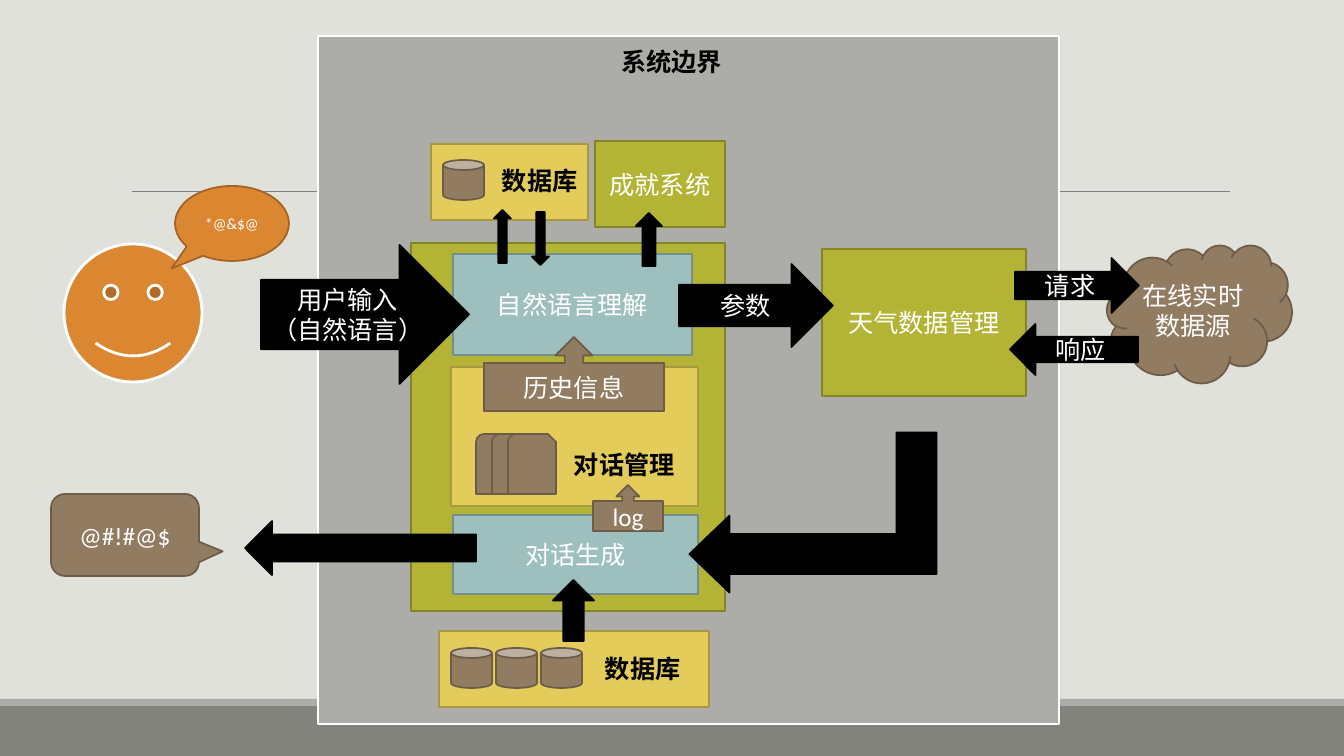
"""Build the system boundary slide of a weather dialogue system."""
import dataclasses
import typing

import pptx
import pptx.dml.color
import pptx.enum.shapes
import pptx.enum.text
import pptx.oxml.ns
import pptx.util

SCALE = 12192000 // 1344
KIND = pptx.enum.shapes.MSO_SHAPE
ALIGN = pptx.enum.text.PP_ALIGN
ANCHOR = pptx.enum.text.MSO_ANCHOR
WHITE, BLACK = "FFFFFF", "000000"


@dataclasses.dataclass(frozen=True)
class Look:
    fill: str
    line: str = ""
    width: float = 1.25


@dataclasses.dataclass(frozen=True)
class Part:
    kind: str
    box: tuple[int, int, int, int]
    look: Look
    text: str = ""
    size: int = 18
    bends: tuple[float, ...] = ()
    turn: int = 0
    flip: bool = False


@dataclasses.dataclass(frozen=True)
class Label:
    box: tuple[int, int, int, int]
    text: str


FLOOR = Look("82847C")
EDGE = Look("ACADA8")
FRAME = Look("ACADA8", WHITE, 2)
GREEN = Look("B3B435", "848527")
FACE = Look("DB8631", WHITE, 2)
SPEECH = Look("DB8631", "A26324")
BLUE = Look("9DBFBE", "748D8D")
GOLD = Look("E3CC5A", "A89743")
BROWN = Look("927C61", "6C5C48")
INK = Look(BLACK, BLACK)

BANDS = [
    Part("RECTANGLE", (0, 706, 1344, 50), FLOOR),
    Part("RECTANGLE", (0, 699, 1344, 7), EDGE),
]
PARTS = [
    Part("RECTANGLE", (318, 36, 741, 688), FRAME),
    Part("RECTANGLE", (411, 243, 314, 368), GREEN),
    Part("SMILEY_FACE", (64, 244, 138, 138), FACE),
    Part("OVAL_CALLOUT", (175, 186, 114, 75), SPEECH, "*@&$@", 11, (-0.53, 0.6)),
    Part("RECTANGLE", (453, 254, 239, 101), BLUE, "自然语言理解"),
    Part("RIGHT_ARROW", (261, 245, 208, 139), INK, "用户输入\n（自然语言）"),
    Part("RECTANGLE", (451, 367, 247, 139), GOLD),
    *[Part("SNIP_ROUND_RECTANGLE", (476 + 16 * i, 434, 48, 60), BROWN) for i in range(3)],
    Part("UP_ARROW_CALLOUT", (484, 337, 180, 74), BROWN, "历史信息"),
    Part("RECTANGLE", (822, 249, 204, 147), GREEN, "天气数据管理"),
    Part("RIGHT_ARROW", (679, 264, 154, 83), INK, "参数"),
    Part("CLOUD", (1107, 245, 185, 138), BROWN, "在线实时\n数据源"),
    Part("RIGHT_ARROW", (1015, 258, 124, 55), INK, "请求"),
    Part("LEFT_ARROW", (1010, 324, 128, 51), INK, "响应"),
    Part("RECTANGLE", (453, 515, 245, 79), BLUE, "对话生成"),
    Part("RECTANGLE", (439, 631, 270, 76), GOLD),
    *[Part("CAN", (451 + 45 * i, 648, 41, 40), BROWN) for i in range(3)],
    Part("UP_ARROW", (553, 580, 41, 61), INK),
    Part("BENT_UP_ARROW", (733, 389, 160, 247), INK, bends=(0.25, 0.24, 0.25), turn=270, flip=True),
    Part("LEFT_ARROW", (245, 521, 231, 54), INK),
    Part("ROUNDED_RECTANGULAR_CALLOUT", (51, 494, 148, 82), BROWN, "@#!#@$", bends=(0.66, 0.2, 0.17)),
    Part("RECTANGLE", (431, 144, 157, 76), GOLD),
    Part("CAN", (443, 160, 41, 40), BROWN),
    Part("RECTANGLE", (595, 141, 130, 86), GREEN, "成就系统"),
    Part("UP_ARROW", (636, 213, 26, 53), INK),
    Part("UP_ARROW", (494, 210, 17, 53), INK),
    Part("DOWN_ARROW", (532, 212, 17, 53), INK),
    Part("UP_ARROW_CALLOUT", (593, 485, 70, 46), BROWN, "log"),
]
LABELS = [
    Label((564, 444, 136, 40), "对话管理"),
    Label((595, 648, 97, 40), "数据库"),
    Label((492, 160, 97, 40), "数据库"),
]


def emus(box: typing.Iterable[int]) -> list[int]:
    """Turn pixels into EMU."""
    return [n * SCALE for n in box]


def paint(form: typing.Any, code: str) -> None:
    """Give a fill one solid colour."""
    form.solid()
    form.fore_color.rgb = pptx.dml.color.RGBColor.from_string(code)


def apply(thing: typing.Any, form: dict[str, typing.Any]) -> None:
    """Set each attribute in a dict of format values."""
    for name, value in form.items():
        setattr(thing, name, value)


def write(shape: typing.Any, text: str, size: int, code: str, bold: bool,
          align: typing.Any, anchor: typing.Any) -> None:
    """Put formatted text in a shape."""
    frame = shape.text_frame
    frame.text = text
    apply(frame, {"word_wrap": True, "vertical_anchor": anchor,
                  "auto_size": pptx.enum.text.MSO_AUTO_SIZE.NONE})
    for line in frame.paragraphs:
        line.alignment = align
        for run in line.runs:
            apply(run.font, {"name": "Calibri", "size": pptx.util.Pt(size), "bold": bold})
            paint(run.font.fill, code)


def draw(shapes: typing.Any, part: Part) -> None:
    """Draw one preset shape with its text."""
    shape = shapes.add_shape(KIND[part.kind], *emus(part.box))
    shape.shadow.inherit = False
    shape.rotation = part.turn
    paint(shape.fill, part.look.fill)
    if part.look.line:
        paint(shape.line.fill, part.look.line)
        shape.line.width = pptx.util.Pt(part.look.width)
    else:
        shape.line.fill.background()
    for i, bend in enumerate(part.bends):
        shape.adjustments[i] = bend
    if part.flip:
        shape._element.spPr.xfrm.set("flipH", "1")
    if part.text:
        write(shape, part.text, part.size, WHITE, False, ALIGN.CENTER, ANCHOR.MIDDLE)


def rule(shapes: typing.Any, ends: tuple[int, int, int, int]) -> None:
    """Draw the thin grey rule."""
    line = shapes.add_connector(pptx.enum.shapes.MSO_CONNECTOR.STRAIGHT, *emus(ends))
    paint(line.line.fill, "808080")
    line.line.width = pptx.util.Pt(0.5)
    pptx.oxml.ns.qn("a:effectLst")
    line._element.spPr.append(pptx.oxml.xmlchemy.OxmlElement("a:effectLst"))


def head(shapes: typing.Any, label: Label) -> None:
    """Place the title in front of all parts."""
    title = shapes.title
    apply(title, dict(zip(("left", "top", "width", "height"), emus(label.box))))
    write(title, label.text, 18, BLACK, True, ALIGN.CENTER, ANCHOR.TOP)
    shapes._spTree.append(title._element)


def main() -> None:
    """Build and save the slide."""
    deck = pptx.Presentation()
    apply(deck, {"slide_width": 1344 * SCALE, "slide_height": 756 * SCALE})
    slide = deck.slides.add_slide(deck.slide_layouts[5])
    paint(slide.background.fill, "E1E1DB")
    shapes = slide.shapes
    for part in BANDS:
        draw(shapes, part)
    rule(shapes, (132, 191, 1230, 191))
    for part in PARTS:
        draw(shapes, part)
    for label in LABELS:
        write(shapes.add_textbox(*emus(label.box)), label.text, 18, BLACK, True,
              ALIGN.LEFT, ANCHOR.TOP)
    head(shapes, Label((561, 41, 221, 40), "系统边界"))
    deck.save("out.pptx")


main()
